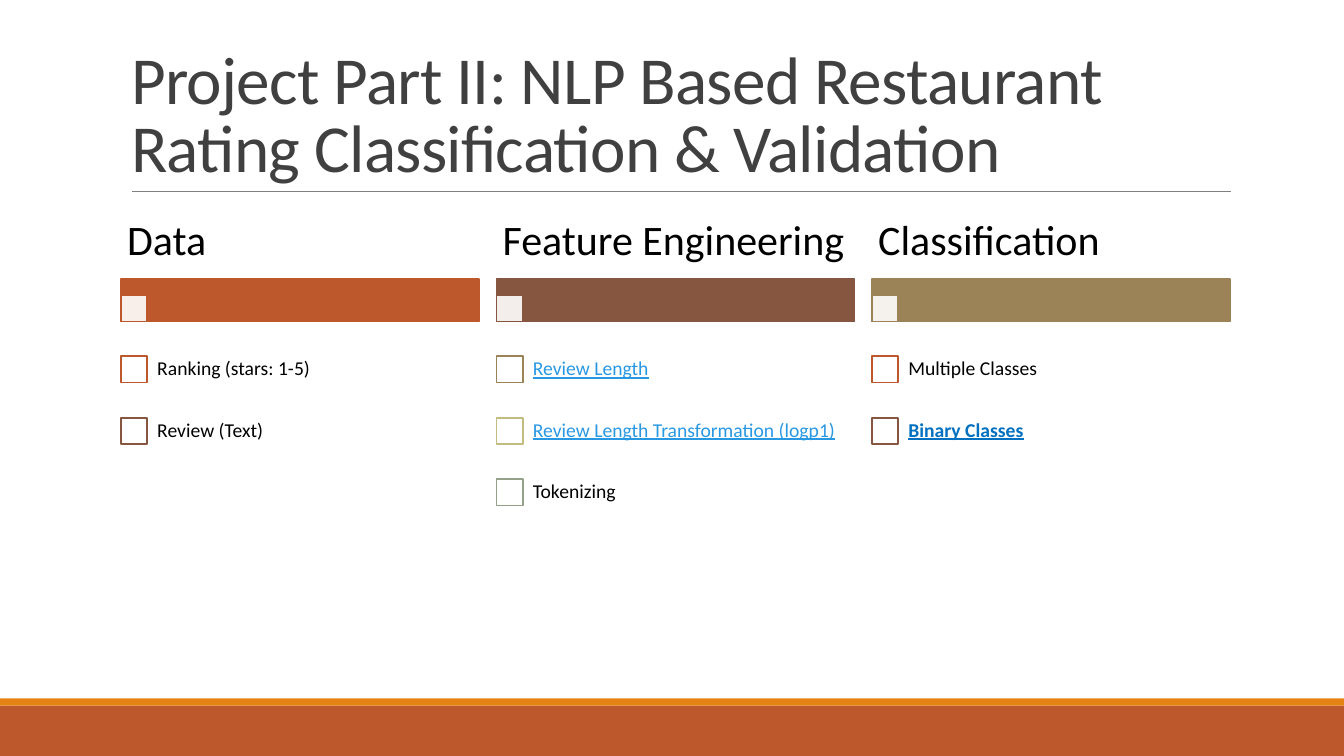
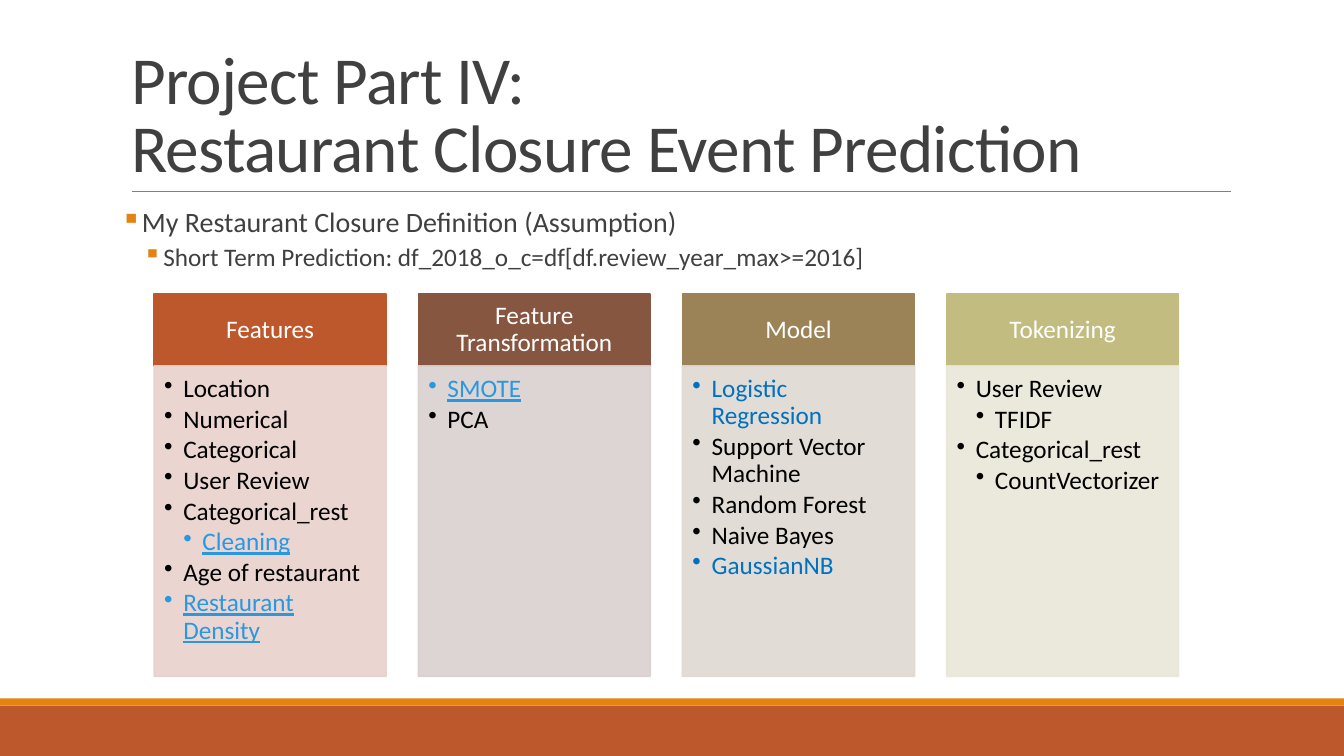
from dataclasses import dataclass
from itertools import cycle

from lxml import etree
from pptx import Presentation
from pptx.dml.color import RGBColor
from pptx.enum.shapes import MSO_CONNECTOR, MSO_SHAPE
from pptx.enum.text import MSO_ANCHOR, MSO_AUTO_SIZE, PP_ALIGN
from pptx.oxml.ns import qn
from pptx.util import Inches, Pt

RECTANGLE = MSO_SHAPE.RECTANGLE
STRAIGHT = MSO_CONNECTOR.STRAIGHT
TOP, MIDDLE, BOTTOM = MSO_ANCHOR.TOP, MSO_ANCHOR.MIDDLE, MSO_ANCHOR.BOTTOM
LEFT, CENTER = PP_ALIGN.LEFT, PP_ALIGN.CENTER
NO_AUTOFIT = MSO_AUTO_SIZE.NONE


@dataclass(frozen=True)
class Theme:
    """Colours, font and type sizes of the deck."""
    font: str = "Calibri"
    accents: tuple = ("BD582C", "865640", "9B8357", "C2BC80", "94A088")
    tints: tuple = ("E8D1CD", "D9D1CF", "DED9D1", "E9E7D8")
    stripe: str = "E48312"
    rule: str = "808080"
    heading: str = "404040"
    text: str = "000000"
    paper: str = "FFFFFF"
    link: str = "2998E3"
    highlight: str = "0070C0"
    title_size: int = 48
    column_size: int = 30
    lead_size: int = 20
    body_size: int = 18
    item_size: int = 14
    outline: float = 1.25


@dataclass(frozen=True)
class Columns:
    """Equal columns across a slide, in inches."""
    left: float
    width: float
    gap: float

    def at(self, index):
        """Return the left edge of a column."""
        return self.left + index * (self.width + self.gap)


THEME = Theme()
SLIDE_WIDTH, SLIDE_HEIGHT = 13.33, 7.5
CONTENT_LEFT, CONTENT_TOP, CONTENT_WIDTH = 1.2, 2.02, 11

PLAIN = {"color": THEME.text}
LINK = {"color": THEME.link, "underline": True}
HIGHLIGHT = {"color": THEME.highlight}
STRONG_LINK = {"color": THEME.highlight, "underline": True, "bold": True}

STAGES = (
    ("Data", (("Ranking (stars: 1-5)", PLAIN), ("Review (Text)", PLAIN))),
    ("Feature Engineering", (
        ("Review Length", LINK),
        ("Review Length Transformation (logp1)", LINK),
        ("Tokenizing", PLAIN))),
    ("Classification", (
        ("Multiple Classes", PLAIN), ("Binary Classes", STRONG_LINK))),
)

PANELS = (
    ("Features", (
        (1, "Location", PLAIN), (1, "Numerical", PLAIN),
        (1, "Categorical", PLAIN), (1, "User Review", PLAIN),
        (1, "Categorical_rest", PLAIN), (2, "Cleaning", LINK),
        (1, "Age of restaurant", PLAIN), (1, "Restaurant Density", LINK))),
    ("Feature Transformation", ((1, "SMOTE", LINK), (1, "PCA", PLAIN))),
    ("Model", (
        (1, "Logistic Regression", HIGHLIGHT),
        (1, "Support Vector Machine", PLAIN), (1, "Random Forest", PLAIN),
        (1, "Naive Bayes", PLAIN), (1, "GaussianNB", HIGHLIGHT))),
    ("Tokenizing", (
        (1, "User Review", PLAIN), (2, "TFIDF", PLAIN),
        (1, "Categorical_rest", PLAIN), (2, "CountVectorizer", PLAIN))),
)


def rgb(color):
    """Turn a hex string into a colour."""
    return RGBColor.from_string(color)


def add_run(paragraph, text, size, color, bold=False, underline=False):
    """Add one formatted run."""
    run = paragraph.add_run()
    run.text = text
    font = run.font
    font.name, font.size = THEME.font, Pt(size)
    font.bold, font.underline = bold, underline
    font.color.rgb = rgb(color)
    return run


def set_frame(shape, insets, anchor):
    """Set wrapping, insets and anchor, and return the text frame."""
    frame = shape.text_frame
    frame.word_wrap, frame.auto_size = True, NO_AUTOFIT
    frame.vertical_anchor = anchor
    (frame.margin_left, frame.margin_top,
     frame.margin_right, frame.margin_bottom) = map(Inches, insets)
    return frame


def set_paragraph(paragraph, align=LEFT, spacing=0.9, before=0, after=0):
    """Set alignment and spacing of a paragraph."""
    paragraph.alignment, paragraph.line_spacing = align, spacing
    paragraph.space_before, paragraph.space_after = Pt(before), Pt(after)


def set_bullet(paragraph, symbol, margin, hanging, color=None):
    """Give a paragraph a hanging bullet."""
    properties = paragraph._p.get_or_add_pPr()
    properties.set("marL", str(Inches(margin)))
    properties.set("indent", str(-Inches(hanging)))
    if color:
        holder = etree.SubElement(properties, qn("a:buClr"))
        etree.SubElement(holder, qn("a:srgbClr")).set("val", color)
    etree.SubElement(properties, qn("a:buChar")).set("char", symbol)


def add_box(slide, left, top, width, height, fill, line=None):
    """Add a flat rectangle, with an outline if a line colour is given."""
    shape = slide.shapes.add_shape(
        RECTANGLE, *map(Inches, (left, top, width, height)))
    shape.shadow.inherit = False
    shape.fill.solid()
    shape.fill.fore_color.rgb = rgb(fill)
    if line:
        shape.line.color.rgb = rgb(line)
        shape.line.width = Pt(THEME.outline)
    else:
        shape.line.fill.background()
    return shape


def fade(shape, colors):
    """Make the selected colours of a shape 90% opaque."""
    for color in shape.element.xpath(colors):
        etree.SubElement(color, qn("a:alpha")).set("val", "90000")


def add_label(slide, left, top, width, height, text, size, style, insets):
    """Add a vertically centred line of text."""
    box = slide.shapes.add_textbox(
        *map(Inches, (left, top, width, height)))
    paragraph = set_frame(box, insets, MIDDLE).paragraphs[0]
    set_paragraph(paragraph)
    add_run(paragraph, text, size, **style)


def add_rule(slide):
    """Add the thin line below the title."""
    line = slide.shapes.add_connector(
        STRAIGHT, *map(Inches, (1.31, 1.9, 12.21, 1.9)))
    line.line.color.rgb, line.line.width = rgb(THEME.rule), Pt(0.5)
    etree.SubElement(line.element.spPr, qn("a:effectLst"))
    return line


def decorate_layout(layout, slide):
    """Draw the shared bands and rule, and move them to the layout."""
    band_top = SLIDE_HEIGHT - 0.5
    parts = (
        add_box(slide, 0, band_top, SLIDE_WIDTH, 0.5, THEME.accents[0]),
        add_box(slide, 0, band_top - 0.07, SLIDE_WIDTH, 0.07, THEME.stripe),
        add_rule(slide),
    )
    for index, part in enumerate(parts):
        part.element.xpath(".//p:cNvPr")[0].set("id", str(100 + index))
        layout.shapes.element.insert(2 + index, part.element)


def set_title(slide, *lines):
    """Place and fill the title, one run a line."""
    title = slide.shapes.title
    title.left, title.top, title.width, title.height = map(
        Inches, (CONTENT_LEFT, 0.31, CONTENT_WIDTH, 1.59))
    frame = set_frame(title, (0.1, 0.05, 0.1, 0.05), BOTTOM)
    paragraph = frame.paragraphs[0]
    set_paragraph(paragraph, spacing=0.85)
    for index, line in enumerate(lines):
        if index:
            paragraph.add_line_break()
        run = add_run(paragraph, line, THEME.title_size, THEME.heading)
        run.font._element.set("spc", "-50")


def add_stage(slide, left, width, heading, items, accent, item_accents):
    """Add a heading, its bar and a checklist."""
    marker, row = 0.26, 0.61
    bar_top, bar_height, list_top = 2.77, 0.42, 3.36
    add_box(slide, left, bar_top, width, bar_height, accent, accent)
    corner = add_box(slide, left, bar_top + bar_height - marker,
                     marker, marker, THEME.paper, accent)
    fade(corner, "./p:spPr/a:solidFill/a:srgbClr")
    add_label(slide, left, CONTENT_TOP, width, bar_top - CONTENT_TOP,
              heading, THEME.column_size, PLAIN, (0.06, 0.04, 0.06, 0.04))
    for index, (text, style) in enumerate(items):
        top = list_top + index * row
        add_box(slide, left, top + (row - marker) / 2, marker, marker,
                THEME.paper, next(item_accents))
        add_label(slide, left + 0.25, top, width - 0.25, row,
                  text, THEME.item_size, style, (0.11,) * 4)


def add_panel(slide, left, width, heading, items, accent, tint):
    """Add a coloured header above a tinted bullet list."""
    top, header_height, list_height = 2.92, 0.71, 3.08
    header = add_box(slide, left, top, width, header_height, accent, accent)
    frame = set_frame(header, (0.14, 0.08, 0.14, 0.08), MIDDLE)
    set_paragraph(frame.paragraphs[0], CENTER)
    add_run(frame.paragraphs[0], heading, THEME.body_size, THEME.paper)

    body = add_box(slide, left, top + header_height, width, list_height,
                   tint, tint)
    fade(body, "./p:spPr//a:srgbClr")
    frame = set_frame(body, (0.1, 0.1, 0.14, 0.16), TOP)
    for index, (level, text, style) in enumerate(items):
        paragraph = frame.add_paragraph() if index else frame.paragraphs[0]
        set_paragraph(paragraph, after=2.4)
        set_bullet(paragraph, "•", 0.19 * level, 0.19)
        add_run(paragraph, text, THEME.body_size, **style)


def add_definition(slide, lead, detail):
    """Add the two-level definition below the title."""
    box = slide.shapes.add_textbox(
        *map(Inches, (CONTENT_LEFT, CONTENT_TOP, CONTENT_WIDTH, 0.8)))
    frame = set_frame(box, (0, 0.05, 0, 0.05), TOP)
    first, second = frame.paragraphs[0], frame.add_paragraph()
    set_paragraph(first, after=2)
    set_bullet(first, "▪", 0.16, 0.16, THEME.stripe)
    add_run(first, lead, THEME.lead_size, THEME.heading)
    set_paragraph(second, before=2, after=4)
    set_bullet(second, "▪", 0.42, 0.2, THEME.stripe)
    add_run(second, detail, THEME.body_size, THEME.heading)


def build_classification(slide):
    """Fill the slide on rating classification."""
    set_title(slide, "Project Part II: NLP Based Restaurant Rating "
                     "Classification & Validation")
    columns = Columns(CONTENT_LEFT, 3.55, 0.175)
    item_accents = cycle(THEME.accents)
    for index, (heading, items) in enumerate(STAGES):
        add_stage(slide, columns.at(index), columns.width, heading, items,
                  THEME.accents[index], item_accents)


def build_closure(slide):
    """Fill the slide on closure prediction."""
    set_title(slide, "Project Part IV:",
              "Restaurant Closure Event Prediction")
    add_definition(
        slide, "My Restaurant Closure Definition (Assumption)",
        "Short Term Prediction: df_2018_o_c=df[df.review_year_max>=2016]")
    columns = Columns(1.53, 2.3, 0.32)
    for index, (heading, items) in enumerate(PANELS):
        add_panel(slide, columns.at(index), columns.width, heading, items,
                  THEME.accents[index], THEME.tints[index])


def main():
    """Build and save the presentation."""
    presentation = Presentation()
    presentation.slide_width = Inches(SLIDE_WIDTH)
    presentation.slide_height = Inches(SLIDE_HEIGHT)
    layout = presentation.slide_layouts.get_by_name("Title Only")
    slides = [presentation.slides.add_slide(layout) for _ in range(2)]
    decorate_layout(layout, slides[0])
    build_classification(slides[0])
    build_closure(slides[1])
    presentation.save("out.pptx")


if __name__ == "__main__":
    main()
